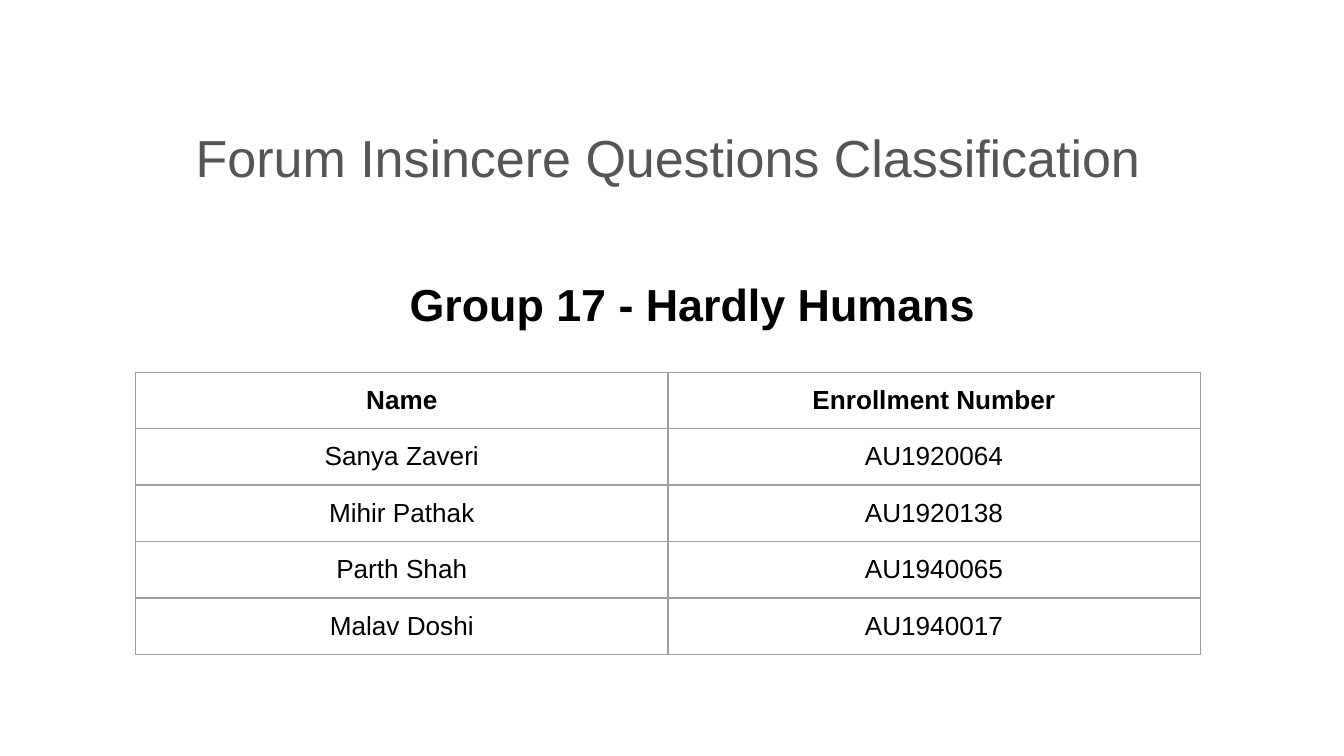
from typing import NamedTuple

from lxml import etree
from pptx import Presentation
from pptx.dml.color import RGBColor
from pptx.enum.text import MSO_ANCHOR, MSO_AUTO_SIZE, PP_ALIGN
from pptx.oxml.ns import qn
from pptx.util import Inches, Pt

CENTER = PP_ALIGN.CENTER
TOP, BOTTOM = MSO_ANCHOR.TOP, MSO_ANCHOR.BOTTOM
NO_AUTOFIT = MSO_AUTO_SIZE.NONE

FONT = "Arial"
BLACK, GRAY, WHITE, BORDER = "000000", "555555", "FFFFFF", "9E9E9E"
INSET = Inches(0.1)
SLIDE_WIDTH = 10
SLIDE_HEIGHT = SLIDE_WIDTH * 9 / 16
COLUMN_WIDTH, ROW_HEIGHT = 3.96, 0.42


class Heading(NamedTuple):
    text: str
    left: float
    top: float
    size: float
    color: str
    bold: bool
    anchor: MSO_ANCHOR


class Member(NamedTuple):
    name: str
    enrollment: str


TITLE = Heading("Forum Insincere Questions Classification",
                0.31, 0.63, 27.9, GRAY, False, BOTTOM)
GROUP = Heading("Group 17 - Hardly Humans",
                0.49, 1.9, 24, BLACK, True, TOP)
MEMBERS = [
    Member("Name", "Enrollment Number"),
    Member("Sanya Zaveri", "AU1920064"),
    Member("Mihir Pathak", "AU1920138"),
    Member("Parth Shah", "AU1940065"),
    Member("Malav Doshi", "AU1940017"),
]


def rgb(color: str) -> RGBColor:
    return RGBColor.from_string(color)


def add_text(paragraph, text: str, size: float, color: str, bold: bool) -> None:
    paragraph.alignment = CENTER
    run = paragraph.add_run()
    run.text = text
    run.font.name = FONT
    run.font.size = Pt(size)
    run.font.bold = bold
    run.font.color.rgb = rgb(color)


def set_insets(holder) -> None:
    holder.margin_left = holder.margin_right = INSET
    holder.margin_top = holder.margin_bottom = INSET


def fill_heading(placeholder, heading: Heading):
    placeholder.left, placeholder.top = Inches(heading.left), Inches(heading.top)
    placeholder.width, placeholder.height = Inches(9.32), Inches(0.87)
    frame = placeholder.text_frame
    set_insets(frame)
    frame.word_wrap = True
    frame.auto_size = NO_AUTOFIT
    frame.vertical_anchor = heading.anchor
    paragraph = frame.paragraphs[0]
    paragraph.space_before = Pt(0)
    add_text(paragraph, heading.text, heading.size, heading.color, heading.bold)
    return paragraph


def fill_cell(cell, text: str, bold: bool) -> None:
    set_insets(cell)
    add_text(cell.text_frame.paragraphs[0], text, 14, BLACK, bold)
    # Borders precede the fill in the cell properties
    properties = cell._tc.get_or_add_tcPr()
    for side in ("a:lnL", "a:lnR", "a:lnT", "a:lnB"):
        line = etree.SubElement(properties, qn(side), w=str(Pt(0.75)))
        solid = etree.SubElement(line, qn("a:solidFill"))
        etree.SubElement(solid, qn("a:srgbClr"), val=BORDER)
    cell.fill.solid()
    cell.fill.fore_color.rgb = rgb(WHITE)


def add_member_table(slide, members: list[Member]) -> None:
    column_count = len(Member._fields)
    table = slide.shapes.add_table(
        len(members), column_count, Inches(1.01), Inches(2.77),
        Inches(COLUMN_WIDTH * column_count), Inches(ROW_HEIGHT * len(members))).table
    table.horz_banding = False
    for column in table.columns:
        column.width = Inches(COLUMN_WIDTH)
    for row_index, member in enumerate(members):
        table.rows[row_index].height = Inches(ROW_HEIGHT)
        for column_index, text in enumerate(member):
            fill_cell(table.cell(row_index, column_index), text, bold=row_index == 0)


def main() -> None:
    deck = Presentation()
    deck.slide_width, deck.slide_height = Inches(SLIDE_WIDTH), Inches(SLIDE_HEIGHT)
    slide = deck.slides.add_slide(deck.slide_layouts[0])

    # Title and group name
    fill_heading(slide.shapes.title, TITLE)
    group_line = fill_heading(slide.placeholders[1], GROUP)
    group_line.line_spacing = 1.15
    group_line.space_after = Pt(12)

    # Group members
    add_member_table(slide, MEMBERS)
    deck.save("out.pptx")


if __name__ == "__main__":
    main()
